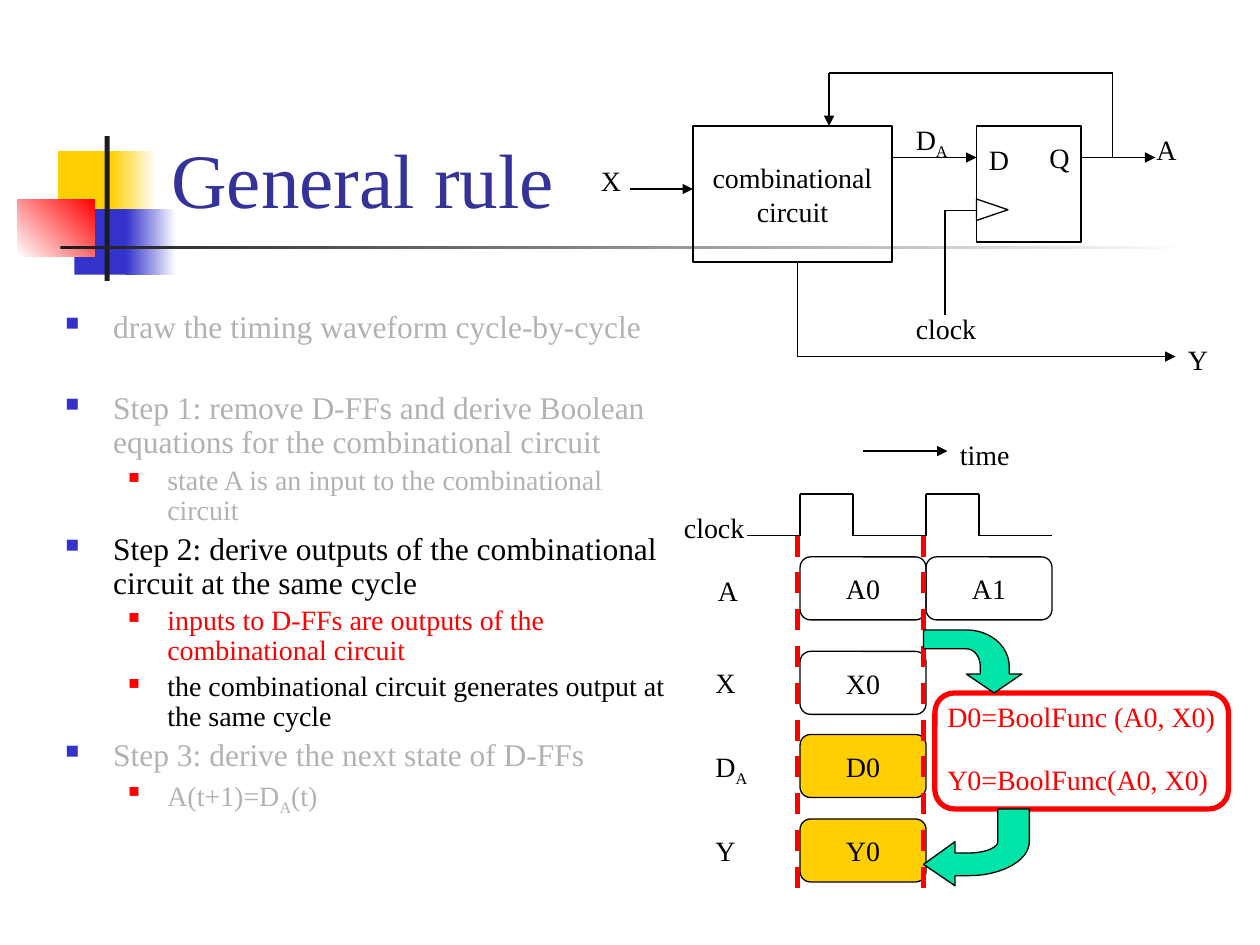
from lxml import etree
from pptx import Presentation
from pptx.dml.color import RGBColor
from pptx.enum.dml import MSO_LINE
from pptx.enum.shapes import MSO_CONNECTOR, MSO_SHAPE
from pptx.enum.text import MSO_ANCHOR, MSO_AUTO_SIZE, PP_ALIGN
from pptx.oxml.ns import qn
from pptx.util import Inches, Pt

RECT, ROUND, TRIANGLE = MSO_SHAPE.RECTANGLE, MSO_SHAPE.ROUNDED_RECTANGLE, MSO_SHAPE.ISOSCELES_TRIANGLE
STRAIGHT, DASH = MSO_CONNECTOR.STRAIGHT, MSO_LINE.DASH
LEFT, CENTER = PP_ALIGN.LEFT, PP_ALIGN.CENTER
FONT = "Times New Roman"
C = {"black": "000000", "white": "FFFFFF", "gold": "FFCF01", "blue": "3333CC", "red": "FF0000",
     "dark": "1C1C1C", "title": "333399", "gray": "B2B2B2", "green": "00E4A8"}

# Content: body lines as (level, colour, text, space before in points); "_" marks a subscript
BODY = [
    (0, "gray", "draw the timing waveform cycle-by-cycle", 3.6),
    (0, "gray", "Step 1: remove D-FFs and derive Boolean equations for the combinational circuit", 27),
    (1, "gray", "state A is an input to the combinational circuit", 3.2),
    (0, "black", "Step 2: derive outputs of the combinational circuit at the same cycle", 3.6),
    (1, "red", "inputs to D-FFs are outputs of the combinational circuit", 3.2),
    (1, "black", "the combinational circuit generates output at the same cycle", 3.2),
    (0, "gray", "Step 3: derive the next state of D-FFs", 3.6),
    (1, "gray", "A(t+1)=D_A(t)", 3.2),
]
# level: size, left margin, hanging indent, bullet colour, bullet percent
LEVELS = [(18, 0.38, 0.38, "blue", 60), (16, 0.81, 0.31, "red", 55)]

# Background blocks: left, top, width, height, first colour, second colour, angle
DECOR = [
    (0.46, 1.2, 0.48, 0.52, "gold", None, 0), (0.88, 1.2, 0.36, 0.52, "gold", "white", 0),
    (0.59, 1.66, 0.46, 0.52, "blue", None, 0), (1, 1.66, 0.4, 0.52, "blue", "white", 0),
    (0.14, 1.58, 0.61, 0.46, "white", "red", 45),
    (0.83, 1.08, 0.04, 1.15, "dark", None, 0), (0.48, 1.95, 9, 0.03, "dark", "white", 0),
]
# Labels: text, left, top, width
LABELS = [
    ("D", 7.75, 1.08, 0.36), ("Q", 8.23, 1.07, 0.36), ("clock", 7.17, 2.42, 0.68),
    ("A", 9.08, 1, 0.36), ("D_A", 7.17, 0.92, 0.47), ("Y", 9.33, 2.67, 0.36),
    ("X", 4.67, 1.25, 0.36), ("time", 7.52, 3.42, 0.6), ("clock", 5.33, 4, 0.68),
    ("A", 5.6, 4.5, 0.36), ("X", 5.58, 5.23, 0.36), ("D_A", 5.58, 5.9, 0.47), ("Y", 5.58, 6.57, 0.36),
]
# Wires: corner points, arrowhead at the end
WIRES = [
    ([(7.08, 1.25), (7.75, 1.25)], True),                           # D input
    ([(7.75, 1.67), (7.5, 1.67), (7.5, 2.5)], False),               # clock input
    ([(8.58, 1.25), (9.17, 1.25)], True),                           # state output
    ([(8.83, 1.25), (8.83, 0.58), (6.58, 0.58), (6.58, 1)], True),  # feedback
    ([(6.33, 2.08), (6.33, 2.83), (9.33, 2.83)], True),             # circuit output
    ([(5, 1.5), (5.5, 1.5)], True),                                 # circuit input
    ([(6.85, 3.58), (7.52, 3.58)], True),                           # time axis
]
CYCLE_X, CYCLE, HIGH, LOW = 6.35, 1, 3.92, 4.25
# Waveform values: text, cycle, top, fill
VALUES = [("A0", 0, 4.42, None), ("X0", 0, 5.17, None), ("A1", 1, 4.42, None),
          ("Y0", 0, 6.5, "gold"), ("D0", 0, 5.83, "gold")]
FORMULAS = [("D0=BoolFunc (A0, X0)", 5.5), ("Y0=BoolFunc(A0, X0)", 6)]
# Block arrows: a point is a corner, a triple of points is a Bezier curve
ARROWS = [
    [(7.89, 5.5), (8.11, 5.35), (8.01, 5.35), (8.01, 5.29), ((8.01, 5.13), (7.86, 5), (7.67, 5)),
     (7.33, 5), (7.33, 5.15), (7.67, 5.15), ((7.73, 5.15), (7.78, 5.21), (7.78, 5.29)),
     (7.78, 5.35), (7.67, 5.35)],
    [(7.33, 6.86), (7.58, 7.03), (7.58, 6.95), (7.69, 6.95), ((7.95, 6.95), (8.17, 6.83), (8.17, 6.68)),
     (8.17, 6.42), (7.92, 6.42), (7.92, 6.68), ((7.92, 6.73), (7.81, 6.77), (7.69, 6.77)),
     (7.58, 6.77), (7.58, 6.68)],
]

prs = Presentation()
prs.slide_width, prs.slide_height = Inches(10), Inches(7.5)
s = prs.slides.add_slide(prs.slide_layouts[5])


def rgb(name):
    return RGBColor.from_string(C[name])


def write(p, text, size=16, color="black"):
    """Add runs to p; the letter after an underscore becomes a subscript."""
    head, _, rest = text.partition("_")
    for part, sub in ((head, False), (rest[:1], True), (rest[1:], False)):
        if part:
            r = p.add_run()
            r.text = part
            r.font.name, r.font.size, r.font.color.rgb = FONT, Pt(size), rgb(color)
            if sub:
                r.font._element.set("baseline", "-25000")


def style(sp, fill=None, line="black", width=0.75):
    sp.shadow.inherit = False
    if fill:
        sp.fill.solid()
        sp.fill.fore_color.rgb = rgb(fill)
    else:
        sp.fill.background()
    if line:
        sp.line.color.rgb, sp.line.width = rgb(line), Pt(width)
    else:
        sp.line.fill.background()


def box(kind, x, y, w, h, lines=(), **look):
    sp = s.shapes.add_shape(kind, *map(Inches, (x, y, w, h)))
    style(sp, **look)
    tf = sp.text_frame
    tf.word_wrap, tf.vertical_anchor = False, MSO_ANCHOR.MIDDLE
    for i, text in enumerate(lines):
        p = tf.add_paragraph() if i else tf.paragraphs[0]
        p.alignment = CENTER
        write(p, text)
    return sp


def label(text, x, y, w, color="black"):
    tf = s.shapes.add_textbox(*map(Inches, (x, y, w, 0.37))).text_frame
    tf.word_wrap = False
    write(tf.paragraphs[0], text, color=color)


def wire(points, arrow=False, color="black", width=0.75, dash=None):
    for start, end in zip(points, points[1:]):
        cn = s.shapes.add_connector(STRAIGHT, *map(Inches, start + end))
        cn.line.color.rgb, cn.line.width = rgb(color), Pt(width)
        if dash:
            cn.line.dash_style = dash
        if arrow and end == points[-1]:
            etree.SubElement(cn.line._get_or_add_ln(), qn("a:tailEnd"), type="triangle")
        etree.SubElement(cn._element.spPr, qn("a:effectLst"))


def flatten(outline, steps=12):
    """Turn the Bezier curves of an outline into short straight steps."""
    points = []
    for item in outline:
        if len(item) == 2:
            points.append(item)
            continue
        ctrl = (points[-1],) + item
        for t in (i / steps for i in range(1, steps + 1)):
            weights = ((1 - t) ** 3, 3 * t * (1 - t) ** 2, 3 * t * t * (1 - t), t ** 3)
            points.append(tuple(sum(k * c[axis] for k, c in zip(weights, ctrl)) for axis in (0, 1)))
    return points


# Background blocks
for x, y, w, h, first, second, angle in DECOR:
    sp = box(RECT, x, y, w, h, fill=first, line=None)
    if second:
        sp.fill.gradient()
        sp.fill.gradient_angle = angle
        for stop, name, pos in zip(sp.fill.gradient_stops, (first, second), (0, 1)):
            stop.color.rgb, stop.position = rgb(name), pos

# Title, in front of the blocks
title = s.shapes.title
title.left, title.top, title.width, title.height = map(Inches, (1.26, 0.23, 8.52, 1.6))
tf = title.text_frame
tf.vertical_anchor, tf.auto_size = MSO_ANCHOR.BOTTOM, MSO_AUTO_SIZE.NONE
tf.paragraphs[0].alignment = LEFT
write(tf.paragraphs[0], "General rule", 44, "title")
s.shapes._spTree.append(title._element)

# Body
tf = s.shapes.add_textbox(*map(Inches, (0.42, 2.42, 5.08, 4.5))).text_frame
tf.word_wrap = True
for i, (level, color, text, before) in enumerate(BODY):
    size, margin, hang, bullet, percent = LEVELS[level]
    p = tf.add_paragraph() if i else tf.paragraphs[0]
    p.level, p.line_spacing, p.space_before = level, 0.9, Pt(before)
    write(p, text, size, color)
    pPr = p._p.get_or_add_pPr()
    pPr.set("marL", str(Inches(margin)))
    pPr.set("indent", str(-Inches(hang)))
    etree.SubElement(etree.SubElement(pPr, qn("a:buClr")), qn("a:srgbClr"), val=C[bullet])
    etree.SubElement(pPr, qn("a:buSzPct"), val=str(percent * 1000))
    etree.SubElement(pPr, qn("a:buChar"), char="■")

# Circuit diagram and time axis
box(RECT, 5.5, 1, 1.58, 1.08, ["combinational", "circuit"])
box(RECT, 7.75, 1, 0.83, 0.92)
box(TRIANGLE, 7.79, 1.54, 0.17, 0.25).rotation = 90
for points, arrow in WIRES:
    wire(points, arrow)

# Timing waveform
wire([(5.93, LOW), (CYCLE_X, LOW)])
for n in range(2):
    x = CYCLE_X + n * CYCLE
    wire([(x, LOW), (x, HIGH), (x + 0.42, HIGH), (x + 0.42, LOW), (x + CYCLE, LOW)])
for text, n, y, fill in VALUES:
    box(ROUND, CYCLE_X + n * CYCLE, y, CYCLE, 0.5, [text], fill=fill)
for x in (6.33, 7.33):
    wire([(x, LOW), (x, 7.08)], color="red", width=3, dash=DASH)
for item in LABELS:
    label(*item)

# Formulas with block arrows
for text, y in FORMULAS:
    label(text, 7.42, y, 2.33, "red")
box(ROUND, 7.42, 5.5, 2.33, 0.92, line="red", width=3)
for outline in ARROWS:
    start, *rest = [(Inches(x), Inches(y)) for x, y in flatten(outline)]
    fb = s.shapes.build_freeform(*start)
    fb.add_line_segments(rest, close=True)
    style(fb.convert_to_shape(), "green")

prs.save("out.pptx")
